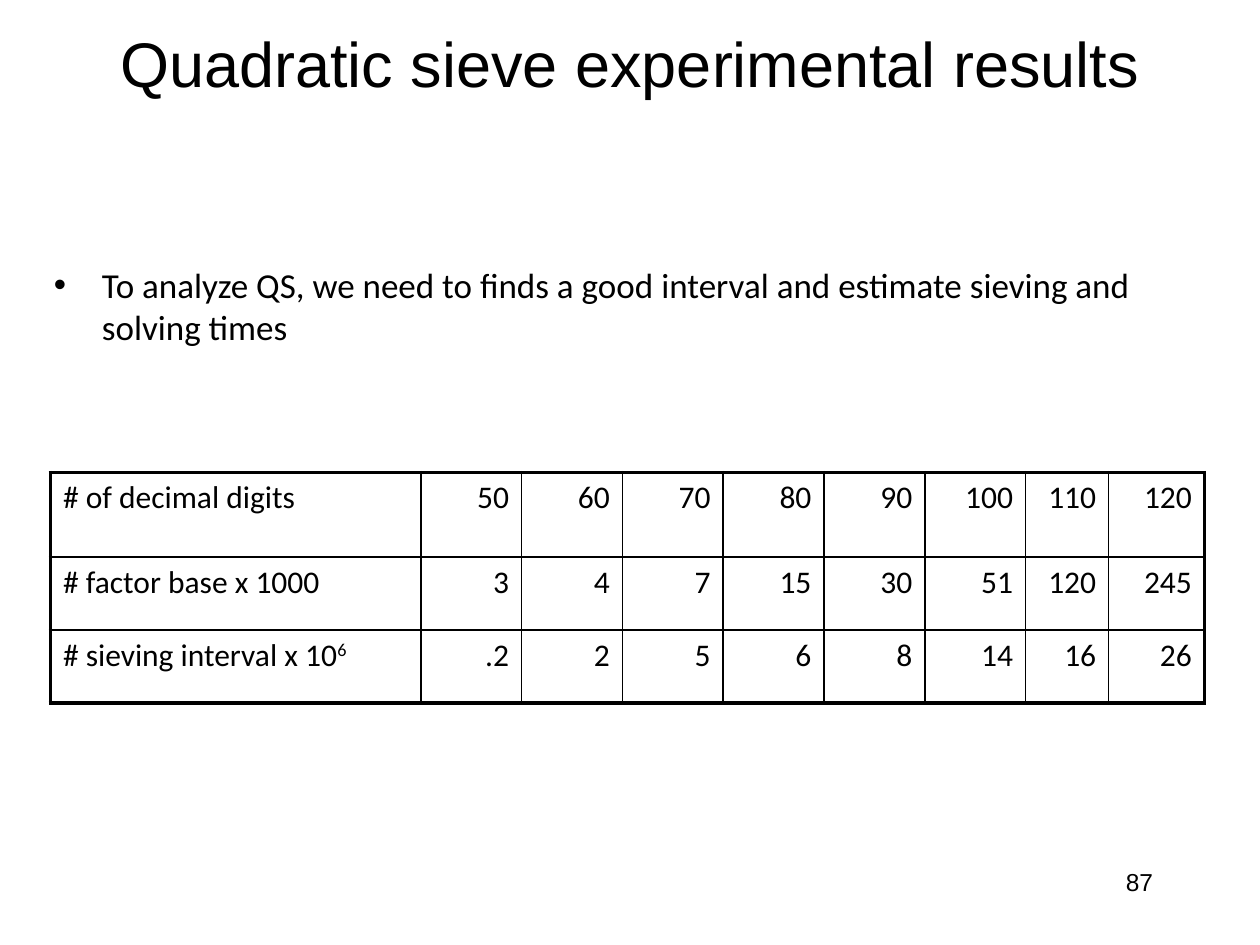
from lxml.etree import SubElement
from pptx import Presentation
from pptx.dml.color import RGBColor
from pptx.enum.text import MSO_ANCHOR as Anchor, PP_ALIGN as Align
from pptx.oxml.ns import qn
from pptx.util import Inches, Pt

# Content
WIDTH, HEIGHT = 10, 7.5
BLACK = "000000"
TITLE = "Quadratic sieve experimental results"
BULLET = ("To analyze QS, we need to finds a good interval and "
          "estimate sieving and solving times")
PAGE_NUMBER = "87"
RESULTS = [  # label, superscript, values
    ("# of decimal digits", "", [50, 60, 70, 80, 90, 100, 110, 120]),
    ("# factor base x 1000", "", [3, 4, 7, 15, 30, 51, 120, 245]),
    ("# sieving interval x 10", "6", [".2", 2, 5, 6, 8, 14, 16, 26]),
]

# Layout, in inches
TITLE_BOX = (0.75, 0.08, 8.5, 0.83)
BODY_BOX = (0.33, 2.04, 8.92, 1.67)
NUMBER_BOX = (7.17, 6.83, 2.08, 0.5)
TABLE_LEFT, TABLE_TOP = 0.4, 3.75
COLUMNS = [2.94] + [0.8] * 6 + [0.66, 0.76]
ROWS = [0.67, 0.58, 0.58]
OUTER_LINE, INNER_LINE = 2.25, 1
INDENT = 0.38


def color(value):
    return RGBColor.from_string(value)


def add_run(paragraph, text, size, name):
    run = paragraph.add_run()
    run.text = text
    for key, value in {"size": Pt(size), "name": name}.items():
        setattr(run.font, key, value)
    run.font.color.rgb = color(BLACK)
    return run


def add_text(slide, box, text, size, name, align=Align.LEFT, anchor=Anchor.TOP):
    frame = slide.shapes.add_textbox(*map(Inches, box)).text_frame
    for key, value in {"word_wrap": True, "vertical_anchor": anchor}.items():
        setattr(frame, key, value)
    paragraph = frame.paragraphs[0]
    paragraph.alignment = align
    add_run(paragraph, text, size, name)
    return paragraph


def add_bullet(paragraph):
    properties = paragraph._p.get_or_add_pPr()
    properties.set("marL", str(Inches(INDENT)))
    properties.set("indent", str(-Inches(INDENT)))
    SubElement(properties, qn("a:buFont"), typeface="Arial")
    SubElement(properties, qn("a:buChar"), char="•")


def add_borders(cell, outer_sides):
    """Draw all four sides, with a heavier line along the table's edge."""
    properties = cell._tc.get_or_add_tcPr()
    for side, is_outer in outer_sides.items():
        width = Pt(OUTER_LINE if is_outer else INNER_LINE)
        line = SubElement(properties, qn(f"a:ln{side}"), w=str(width))
        fill = SubElement(line, qn("a:solidFill"))
        SubElement(fill, qn("a:srgbClr"), val=BLACK)


def add_results(slide):
    box = (TABLE_LEFT, TABLE_TOP, sum(COLUMNS), sum(ROWS))
    table = slide.shapes.add_table(
        len(ROWS), len(COLUMNS), *map(Inches, box)).table
    table.first_row = table.horz_banding = False
    for column, width in zip(table.columns, COLUMNS):
        column.width = Inches(width)
    for row, height in zip(table.rows, ROWS):
        row.height = Inches(height)

    for r, (label, superscript, values) in enumerate(RESULTS):
        for c, text in enumerate([label, *values]):
            cell = table.cell(r, c)
            paragraph = cell.text_frame.paragraphs[0]
            paragraph.alignment = Align.RIGHT if c else Align.LEFT
            add_run(paragraph, str(text), 18, "Calibri")
            if superscript and c == 0:
                run = add_run(paragraph, superscript, 18, "Calibri")
                run._r.get_or_add_rPr().set("baseline", "30000")
            add_borders(cell, {"L": c == 0, "R": c == len(COLUMNS) - 1,
                               "T": r == 0, "B": r == len(ROWS) - 1})
            cell.fill.background()


def main():
    presentation = Presentation()
    presentation.slide_width = Inches(WIDTH)
    presentation.slide_height = Inches(HEIGHT)
    slide = presentation.slides.add_slide(presentation.slide_layouts[6])

    # Page number, title and bullet
    add_text(slide, NUMBER_BOX, PAGE_NUMBER, 14, "Arial", Align.RIGHT)
    add_text(slide, TITLE_BOX, TITLE, 36, "Arial", Align.CENTER, Anchor.MIDDLE)
    add_bullet(add_text(slide, BODY_BOX, BULLET, 20, "Calibri"))

    # Table of results
    add_results(slide)
    presentation.save("out.pptx")


if __name__ == "__main__":
    main()
